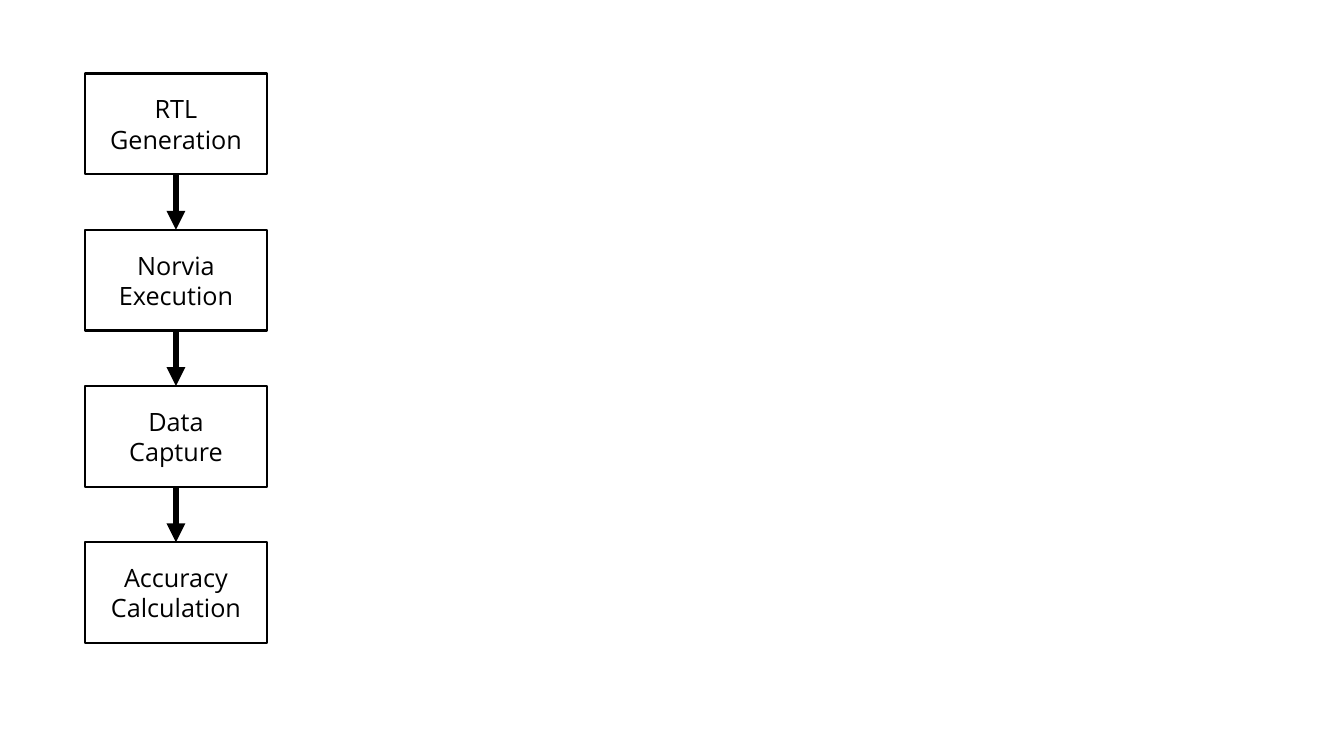
from lxml.etree import SubElement
from pptx import Presentation
from pptx.dml.color import RGBColor
from pptx.enum.shapes import MSO_CONNECTOR as Connector, MSO_SHAPE as Shape
from pptx.enum.text import MSO_ANCHOR as Anchor, PP_ALIGN as Align
from pptx.oxml.ns import qn
from pptx.util import Inches, Pt

COLORS = {"ink": "000000"}
FONT = "Open Sans"
STEPS = [
    ("RTL", "Generation"),
    ("Norvia", "Execution"),
    ("Data", "Capture"),
    ("Accuracy", "Calculation"),
]
LEFT, TOP = 0.84, 0.73
STEP_WIDTH, STEP_HEIGHT, PITCH = 1.81, 1, 1.55


def color(name):
    return RGBColor.from_string(COLORS[name])


def write(frame, lines, size=18, ink="ink", align=Align.CENTER, anchor=Anchor.MIDDLE):
    frame.word_wrap = True
    frame.vertical_anchor = anchor
    for index, line in enumerate(lines):
        paragraph = frame.add_paragraph() if index else frame.paragraphs[0]
        paragraph.alignment = align
        run = paragraph.add_run()
        run.text = line
        run.font.name = FONT
        run.font.size = Pt(size)
        run.font.color.rgb = color(ink)


def add_step(slide, lines, top):
    step = slide.shapes.add_shape(
        Shape.RECTANGLE, Inches(LEFT), Inches(top), Inches(STEP_WIDTH), Inches(STEP_HEIGHT)
    )
    step.shadow.inherit = False
    step.fill.background()
    step.line.color.rgb = color("ink")
    step.line.width = Pt(1.5)
    write(step.text_frame, lines)


def add_arrow(slide, start, end):
    center = Inches(LEFT + STEP_WIDTH / 2)
    arrow = slide.shapes.add_connector(
        Connector.STRAIGHT, center, Inches(start), center, Inches(end)
    )
    arrow.line.color.rgb = color("ink")
    arrow.line.width = Pt(4.5)
    SubElement(arrow.line._get_or_add_ln(), qn("a:tailEnd"), type="triangle")
    SubElement(arrow._element.spPr, qn("a:effectLst"))


def main():
    deck = Presentation()
    deck.slide_width, deck.slide_height = Inches(13.33), Inches(7.5)
    slide = deck.slides.add_slide(deck.slide_layouts[6])
    for index, lines in enumerate(STEPS):
        top = TOP + index * PITCH
        add_step(slide, lines, top)
        if index:
            add_arrow(slide, top - PITCH + STEP_HEIGHT, top)
    deck.save("out.pptx")


if __name__ == "__main__":
    main()
